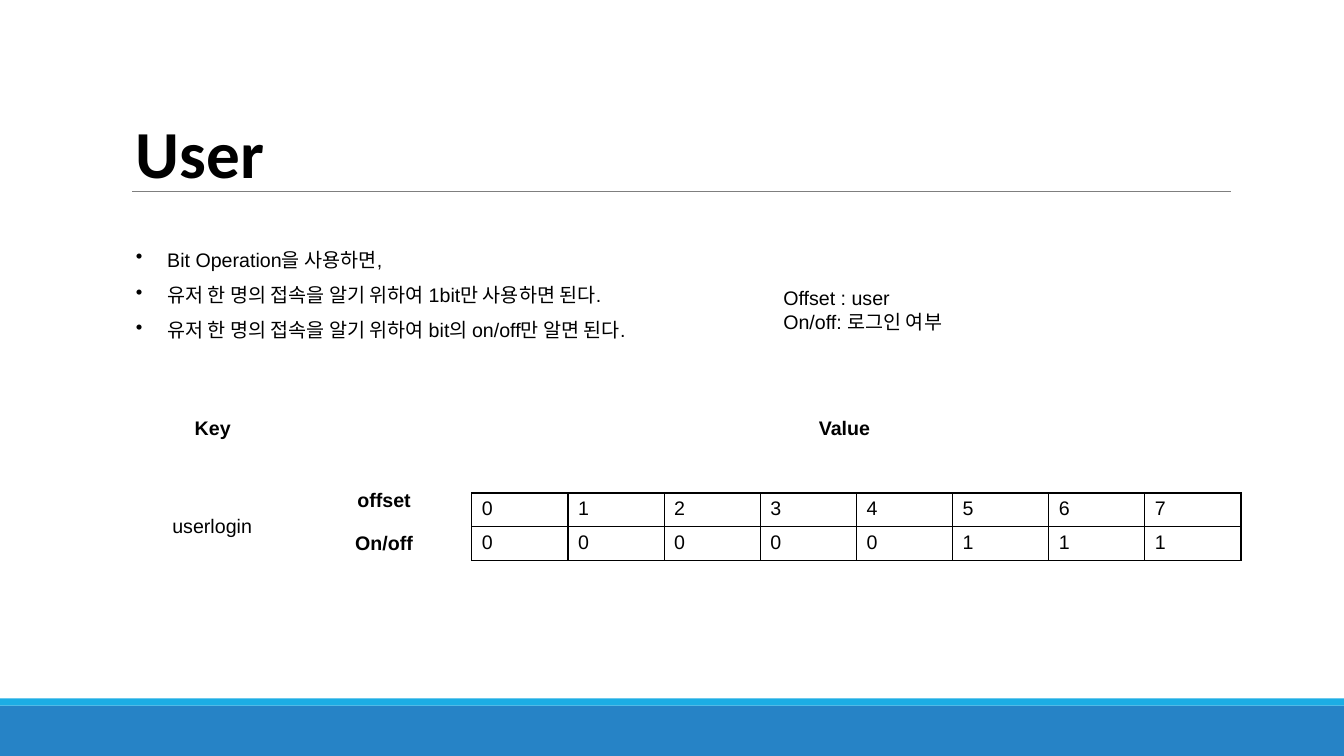
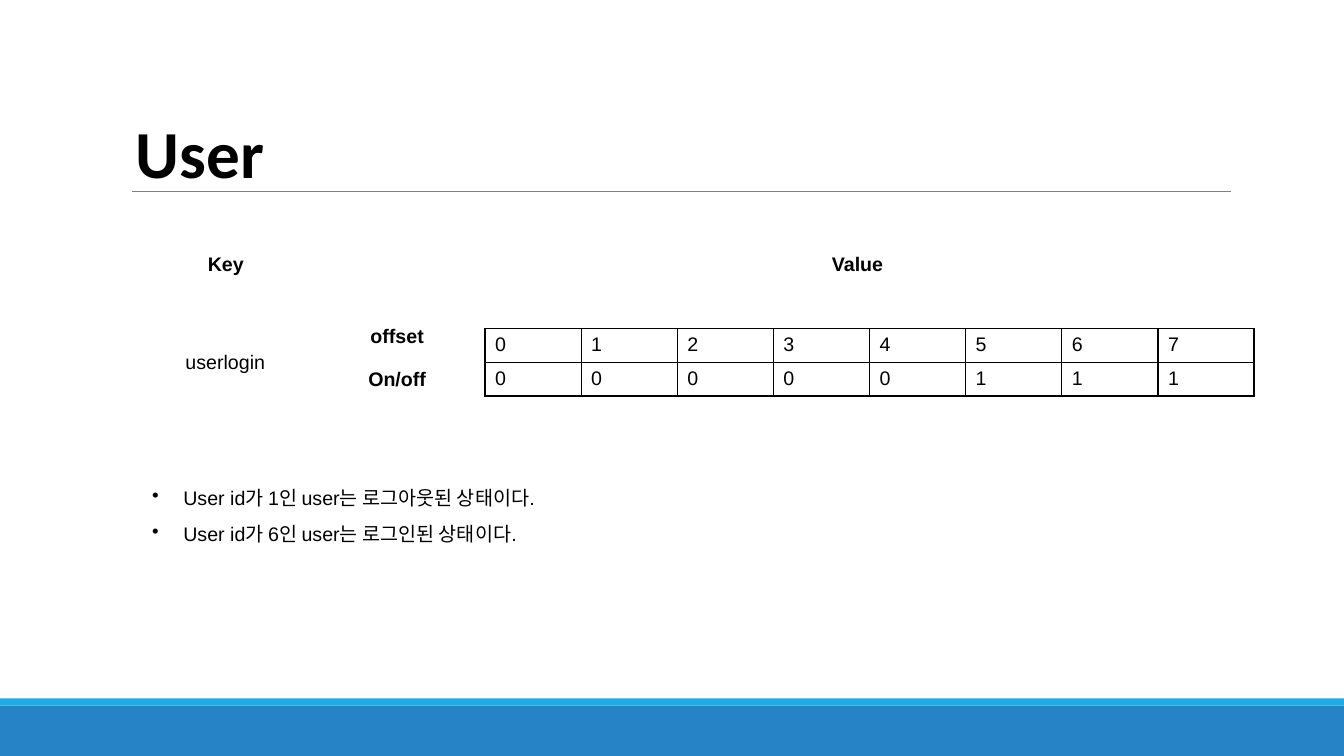
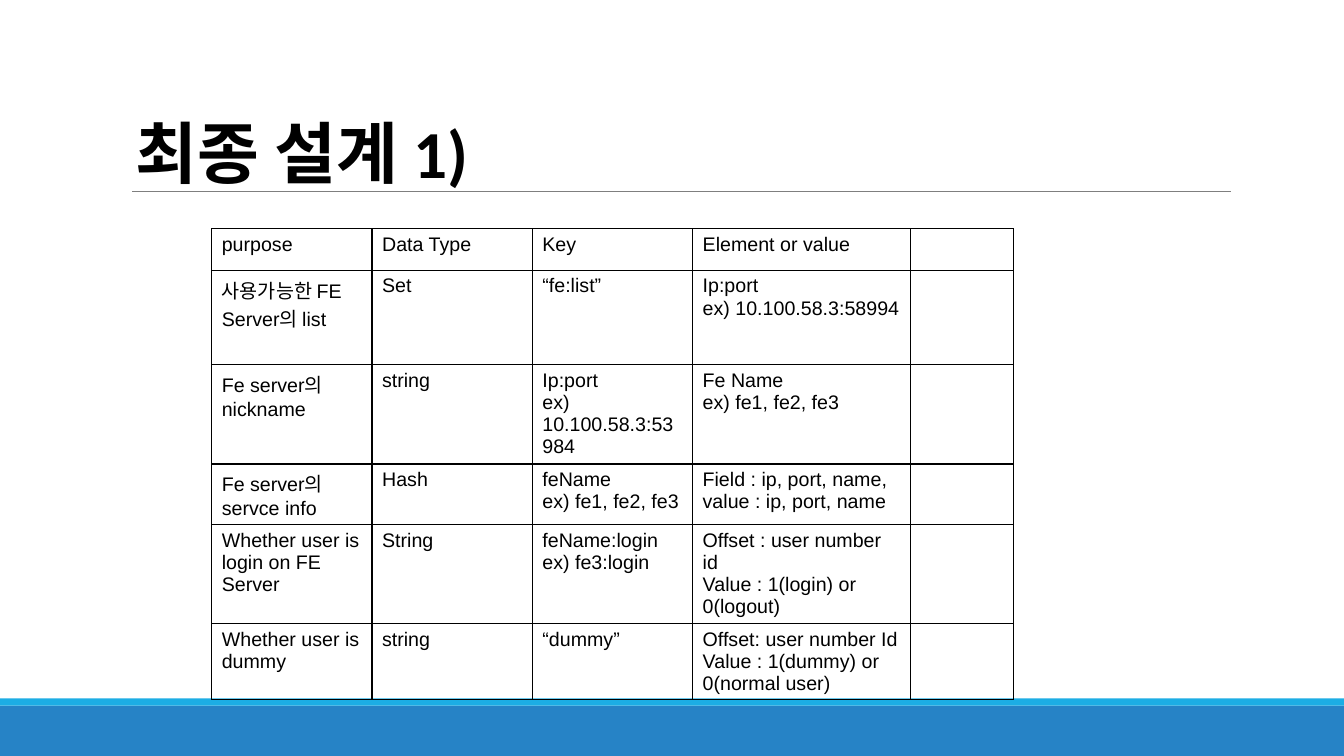
from lxml import etree
from pptx import Presentation, util as u
from pptx.dml.color import RGBColor
from pptx.enum import shapes, text
from pptx.oxml import parse_xml
from pptx.oxml.ns import nsdecls, qn

BLACK, GRAY, BLUE, CYAN = "000000", "7F7F7F", "2683C6", "1CADE4"
BODY_FONT, TITLE_FONT = "Arial", "Calibri"
BODY_SIZE, TITLE_SIZE = 14, 48
PAGE_WIDTH = 13.33


def write(frame, lines, size=BODY_SIZE, font=BODY_FONT, bold=False, align=None, bullet=False):
    """Fill a text frame with one styled paragraph per line."""
    frame.word_wrap = True
    frame.text = "\n".join(lines)
    for para in frame.paragraphs:
        para.font.name = font
        para.font.bold = bold
        para.font.color.rgb = RGBColor.from_string(BLACK)
        para.alignment = align
        # Line height and bullets follow the sizes of runs and paragraph end
        for part in (para, *para.runs):
            part.font.size = u.Pt(size)
        etree.SubElement(para._p, qn("a:endParaRPr")).set("sz", str(size * 100))
        if bullet:
            para.line_spacing = 1.5
            props = para._p.get_or_add_pPr()
            props.set("marL", str(u.Inches(0.31)))
            props.set("indent", str(u.Inches(-0.31)))
            mark = parse_xml(f'<a:buChar {nsdecls("a")} char="•"/>')
            props.find(qn("a:defRPr")).addprevious(mark)


def add_grid(page, left, top, widths, heights, rows):
    """Add a table with thin black borders and no fill."""
    grid = page.shapes.add_table(
        len(rows), len(widths), u.Inches(left), u.Inches(top),
        u.Inches(sum(widths)), u.Inches(sum(heights))).table
    grid.first_row = grid.horz_banding = False
    for column, width in zip(grid.columns, widths):
        column.width = u.Inches(width)
    for row, height, values in zip(grid.rows, heights, rows):
        row.height = u.Inches(height)
        for cell, value in zip(row.cells, values):
            write(cell.text_frame, value.split("\n"))
            cell.margin_bottom = 0  # keeps full cells within the row height
            props = cell._tc.get_or_add_tcPr()
            for side in ("lnL", "lnR", "lnT", "lnB"):
                props.append(parse_xml(
                    f'<a:{side} {nsdecls("a")} w="{u.Pt(1)}"><a:solidFill>'
                    f'<a:srgbClr val="{BLACK}"/></a:solidFill></a:{side}>'))
            cell.fill.background()


deck = Presentation()
deck.slide_width, deck.slide_height = u.Inches(PAGE_WIDTH), u.Inches(7.5)

# Shared rule, footer bands and title
pages = []
for title in ("User", "User", "최종 설계 1)"):
    page = deck.slides.add_slide(deck.slide_layouts[6])
    rule = page.shapes.add_connector(
        shapes.MSO_CONNECTOR.STRAIGHT,
        u.Inches(1.31), u.Inches(1.9), u.Inches(12.21), u.Inches(1.9))
    rule.line.color.rgb = RGBColor.from_string(GRAY)
    rule.line.width = u.Pt(0.75)
    etree.SubElement(rule._element.spPr, qn("a:effectLst"))
    for top, height, color in ((7, 0.5, BLUE), (6.93, 0.07, CYAN)):
        band = page.shapes.add_shape(
            shapes.MSO_SHAPE.RECTANGLE, 0, u.Inches(top),
            u.Inches(PAGE_WIDTH), u.Inches(height))
        band.shadow.inherit = False
        band.fill.solid()
        band.fill.fore_color.rgb = RGBColor.from_string(color)
        band.line.fill.background()
    box = page.shapes.add_textbox(
        u.Inches(1.25), u.Inches(1.04), u.Inches(9.07), u.Inches(0.91))
    box.text_frame.vertical_anchor = text.MSO_ANCHOR.BOTTOM
    write(box.text_frame, [title], TITLE_SIZE, TITLE_FONT, bold=True)
    pages.append(page)
bit_page, state_page, design_page = pages

# Explanations on the two user pages
notes = (
    (bit_page, 1.25, 2.29, 10.19, 1.16, True, (
        "Bit Operation을 사용하면,",
        "유저 한 명의 접속을 알기 위하여 1bit만 사용하면 된다.",
        "유저 한 명의 접속을 알기 위하여 bit의 on/off만 알면 된다.")),
    (bit_page, 7.67, 2.79, 4.28, 0.57, False, (
        "Offset : user", "On/off: 로그인 여부")),
    (state_page, 1.41, 4.66, 10.19, 0.76, True, (
        "User id가 1인 user는 로그아웃된 상태이다.",
        "User id가 6인 user는 로그인된 상태이다.")),
)
for page, left, top, width, height, bullet, lines in notes:
    box = page.shapes.add_textbox(
        u.Inches(left), u.Inches(top), u.Inches(width), u.Inches(height))
    write(box.text_frame, lines, bullet=bullet)

# Bitmap diagram: labels are placed relative to the table corner
labels = (
    ("Value", 2.05, -0.81, 3.29, True),
    ("Key", -3.22, -0.81, 1.3, True),
    ("userlogin", -3.41, 0.16, 1.67, False),
    ("offset", -1.3, -0.1, 0.86, True),
    ("On/off", -1.3, 0.33, 0.86, True),
)
for page, left, top in ((bit_page, 4.68, 4.89), (state_page, 4.81, 3.26)):
    add_grid(page, left, top, [7.63 / 8] * 8, [0.67 / 2] * 2, ("01234567", "00000111"))
    for label, dx, dy, width, bold in labels:
        box = page.shapes.add_textbox(
            u.Inches(left + dx), u.Inches(top + dy), u.Inches(width), u.Inches(0.34))
        write(box.text_frame, [label], bold=bold, align=text.PP_ALIGN.CENTER)

# Final key design
add_grid(design_page, 2.1, 2.27, (1.59, 1.59, 1.59, 2.16, 1.02),
         (0.41, 0.94, 0.98, 0.6, 0.98, 0.75), (
    ("purpose", "Data Type", "Key", "Element or value", ""),
    ("사용가능한 FE Server의 list", "Set", "“fe:list”",
     "Ip:port\vex) 10.100.58.3:58994", ""),
    ("Fe server의 nickname", "string", "Ip:port\vex) 10.100.58.3:53984",
     "Fe Name\vex) fe1, fe2, fe3", ""),
    ("Fe server의 servce info", "Hash", "feName\vex) fe1, fe2, fe3",
     "Field : ip, port, name,\vvalue : ip, port, name", ""),
    ("Whether user is login on FE Server", "String", "feName:login\vex) fe3:login",
     "Offset : user number id\nValue : 1(login) or 0(logout)", ""),
    ("Whether user is dummy", "string", "“dummy”",
     "Offset: user number Id\nValue : 1(dummy) or 0(normal user)", ""),
))

deck.save("out.pptx")
